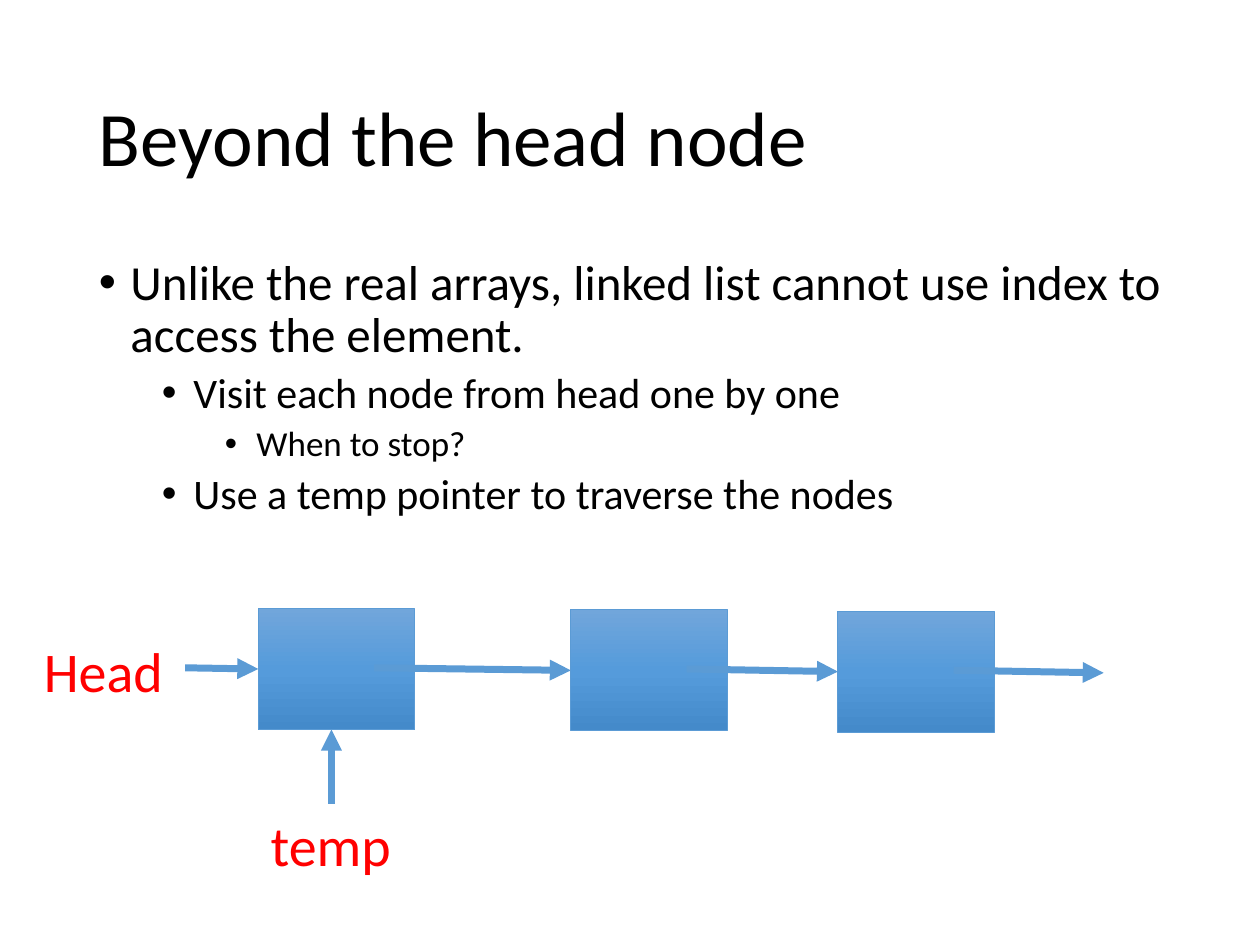
from copy import deepcopy
from dataclasses import dataclass

from pptx import Presentation
from pptx.dml.color import RGBColor
from pptx.enum.shapes import MSO_CONNECTOR, MSO_SHAPE
from pptx.enum.text import MSO_ANCHOR, MSO_AUTO_SIZE
from pptx.oxml.ns import qn
from pptx.slide import Slide
from pptx.text.text import TextFrame, _Paragraph
from pptx.util import Pt
from lxml.etree import SubElement

BLACK = RGBColor(0x00, 0x00, 0x00)
RED = RGBColor(0xFF, 0x00, 0x00)
BLUE = RGBColor(0x5B, 0x9B, 0xD5)
NODE_GRADIENT = (
    (0, RGBColor(0x71, 0xA6, 0xDB)),
    (0.5, RGBColor(0x55, 0x9B, 0xDB)),
    (1, RGBColor(0x44, 0x8A, 0xCA)),
)
FONT = "Calibri"
NODE_WIDTH, NODE_HEIGHT = 89.5, 69.2
POINTER_OFFSET = 66.2


@dataclass(frozen=True)
class Bullet:
    """A bulleted line and its outline level."""

    text: str
    level: int


@dataclass(frozen=True)
class Node:
    """The top left corner of a list node."""

    left: float
    top: float


@dataclass(frozen=True)
class Arrow:
    """The start and end of an arrow."""

    start: tuple[float, float]
    end: tuple[float, float]


@dataclass(frozen=True)
class Label:
    """A pointer name and its box."""

    text: str
    left: float
    top: float
    width: float


BULLETS = (
    Bullet("Unlike the real arrays, linked list cannot use index to access the element.", 0),
    Bullet("Visit each node from head one by one", 1),
    Bullet("When to stop?", 2),
    Bullet("Use a temp pointer to traverse the nodes", 1),
)
NODES = (Node(147.6, 347.8), Node(326.2, 348.5), Node(478.8, 349.2))
LIST_END = (630.7, 384.5)
POINTERS = (
    Arrow((105.8, 381.6), (147.6, 382.3)),
    Arrow((189.4, 459.4), (189.4, 416.9)),
)
LABELS = (Label("Head", 18, 360, 83.5), Label("temp", 147.6, 459.4, 84.2))


def add_text_frame(page: Slide, left: float, top: float, width: float, height: float) -> TextFrame:
    """Add a wrapping text box and return its frame."""
    box = page.shapes.add_textbox(Pt(left), Pt(top), Pt(width), Pt(height))
    box.text_frame.word_wrap = True
    return box.text_frame


def set_text(para: _Paragraph, text: str, size: float, color: RGBColor) -> None:
    """Write text into a paragraph and set its font."""
    para.text = text
    para.font.name = FONT
    para.font.size = Pt(size)
    para.font.color.rgb = color


def add_title(page: Slide, text: str) -> None:
    """Add the slide title."""
    frame = add_text_frame(page, 49.5, 28.75, 621, 104.4)
    frame.vertical_anchor = MSO_ANCHOR.MIDDLE
    para = frame.paragraphs[0]
    set_text(para, text, 44, BLACK)
    para.line_spacing = 0.9


def add_bullets(page: Slide, bullets: tuple[Bullet, ...]) -> None:
    """Add the outline with sizes and indents set by level."""
    frame = add_text_frame(page, 49.5, 143.75, 621, 342.6)
    for index, bullet in enumerate(bullets):
        para = frame.add_paragraph() if index else frame.paragraphs[0]
        set_text(para, bullet.text, 28 - 4 * bullet.level, BLACK)
        para.level = bullet.level
        para.line_spacing = 0.9
        para.space_before = Pt(5 if bullet.level else 10)
        properties = para._p.get_or_add_pPr()
        properties.set("marL", str(Pt(18 + 36 * bullet.level)))
        properties.set("indent", str(Pt(-18)))
        mark_font = SubElement(properties, qn("a:buFont"))
        mark_font.set("typeface", "Arial")
        mark = SubElement(properties, qn("a:buChar"))
        mark.set("char", "•")
        properties.append(properties.find(qn("a:defRPr")))


def add_node(page: Slide, node: Node) -> None:
    """Add a gradient box for a list node."""
    box = page.shapes.add_shape(
        MSO_SHAPE.RECTANGLE, Pt(node.left), Pt(node.top), Pt(NODE_WIDTH), Pt(NODE_HEIGHT)
    )
    box.shadow.inherit = False
    box.line.color.rgb = BLUE
    box.line.width = Pt(0.5)
    box.fill.gradient()
    box.fill.gradient_angle = 270
    stops = box._element.spPr.find(qn("a:gradFill")).find(qn("a:gsLst"))
    stops.append(deepcopy(stops[-1]))
    for stop, (position, color) in zip(box.fill.gradient_stops, NODE_GRADIENT):
        stop.position = position
        stop.color.rgb = color


def add_arrow(page: Slide, arrow: Arrow) -> None:
    """Add a line with a triangle at its end."""
    start_left, start_top = arrow.start
    end_left, end_top = arrow.end
    connector = page.shapes.add_connector(
        MSO_CONNECTOR.STRAIGHT, Pt(start_left), Pt(start_top), Pt(end_left), Pt(end_top)
    )
    connector.line.color.rgb = BLUE
    connector.line.width = Pt(4)
    SubElement(connector.line._get_or_add_ln(), qn("a:tailEnd")).set("type", "triangle")
    SubElement(connector._element.spPr, qn("a:effectLst"))


def add_label(page: Slide, label: Label) -> None:
    """Add a red pointer name."""
    frame = add_text_frame(page, label.left, label.top, label.width, 46)
    frame.word_wrap = False
    frame.auto_size = MSO_AUTO_SIZE.SHAPE_TO_FIT_TEXT
    set_text(frame.paragraphs[0], label.text, 32, RED)


def main() -> None:
    """Build the slide and save it."""
    deck = Presentation()
    deck.slide_width, deck.slide_height = Pt(720), Pt(540)
    page = deck.slides.add_slide(deck.slide_layouts[6])
    add_title(page, "Beyond the head node")
    add_bullets(page, BULLETS)
    targets = [(node.left, node.top + NODE_HEIGHT / 2) for node in NODES[1:]] + [LIST_END]
    for node, target in zip(NODES, targets):
        add_node(page, node)
        add_arrow(page, Arrow((node.left + POINTER_OFFSET, node.top + 33.8), target))
    for pointer in POINTERS:
        add_arrow(page, pointer)
    for label in LABELS:
        add_label(page, label)
    deck.save("out.pptx")


if __name__ == "__main__":
    main()
